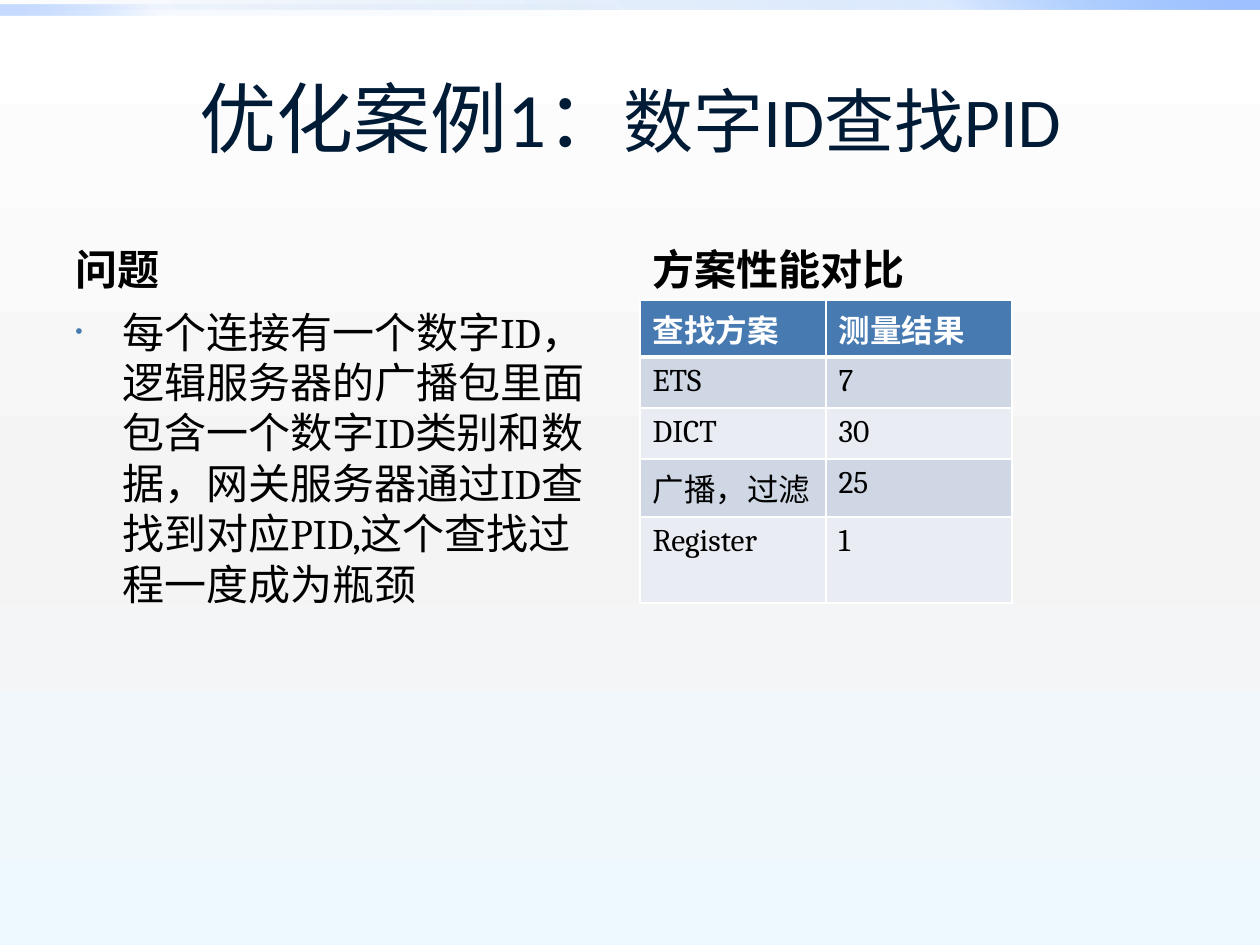
from lxml import etree
from pptx import Presentation
from pptx.dml.color import RGBColor
from pptx.enum import shapes, text
from pptx.oxml import ns
from pptx import util as u

HUES = {"ink": "000000", "navy": "001B36", "blue": "477AB1", "white": "FFFFFF",
        "dark": "CFD7E4", "pale": "E9ECF2"}
DEEP, MID, SKY = "0058B7", "4F95FF", "9EC2FF"


def px(n):
    """Turn pixels into EMU."""
    return u.Emu(round(n * 914400 / 126))


def node(parent, tag, **attrs):
    """Append a drawing element with attributes."""
    return etree.SubElement(parent, ns.qn(tag), {k: str(v) for k, v in attrs.items()})


def write(frame, runs, font="Cambria", size=24, hue="ink", bold=False,
          align=text.PP_ALIGN.LEFT, anchor=text.MSO_ANCHOR.TOP, before=0, dot=False):
    """Fill a frame with one paragraph of (text, size) runs or a string."""
    frame.word_wrap = True
    frame.vertical_anchor = anchor
    para = frame.paragraphs[0]
    para.alignment = align
    para.space_before = u.Pt(before)
    for words, pts in [(runs, size)] if isinstance(runs, str) else runs:
        run = para.add_run()
        run.text = words
        run.font.name, run.font.size, run.font.bold = font, u.Pt(pts), bold
        run.font.color.rgb = RGBColor.from_string(HUES[hue])
    if dot:
        props = para._p.get_or_add_pPr()
        props.set("marL", str(px(47)))
        props.set("indent", str(-px(47)))
        node(node(props, "a:buClr"), "a:srgbClr", val=HUES["blue"])
        node(props, "a:buSzPct", val=50000)
        node(props, "a:buFont", typeface="Arial")
        node(props, "a:buChar", char="•")


class Deck:
    """Hold the style and the current slide."""

    def __init__(self):
        """Start a file with one blank slide."""
        self.file = Presentation()
        self.file.slide_width, self.file.slide_height = px(1260), px(945)
        self.page = self.file.slides.add_slide(self.file.slide_layouts[6])

    def blend(self, owner, stops, angle):
        """Fill an owner with a gradient of (place, hue, alpha) stops."""
        fill = getattr(owner, "background", owner).fill
        fill.solid()
        fill.fore_color.rgb = RGBColor.from_string(HUES["white"])
        old = next(owner.element.iter(ns.qn("a:solidFill")))
        grad = etree.Element(ns.qn("a:gradFill"), rotWithShape="1")
        steps = node(grad, "a:gsLst")
        for place, hue, alpha in stops:
            step = node(steps, "a:gs", pos=place * 1000)
            node(node(step, "a:srgbClr", val=hue), "a:alpha", val=alpha * 1000)
        node(grad, "a:lin", ang=angle * 60000, scaled=0)
        old.getparent().replace(old, grad)

    def bar(self, x, y, w, h, stops, angle):
        """Draw a gradient bar."""
        bar = self.page.shapes.add_shape(shapes.MSO_SHAPE.RECTANGLE, px(x), px(y), px(w), px(h))
        bar.shadow.inherit = False
        bar.line.fill.background()
        self.blend(bar, stops, angle)

    def note(self, x, y, w, h, runs, **style):
        """Place a text box."""
        box = self.page.shapes.add_textbox(px(x), px(y), px(w), px(h))
        write(box.text_frame, runs, **style)

    def edge(self, cell, base):
        """Draw the four white borders of a cell."""
        props = cell._tc.get_or_add_tcPr()
        for i, side in enumerate("LRTB"):
            width = base if side == "B" else 1
            line = etree.Element(ns.qn("a:ln" + side), w=str(u.Pt(width)))
            node(node(line, "a:solidFill"), "a:srgbClr", val=HUES["white"])
            props.insert(i, line)

    def table(self, x, y, cols, highs, rows):
        """Place a table with a head row and banded body rows."""
        grid = self.page.shapes.add_table(len(rows), len(cols), px(x), px(y),
                                          px(sum(cols)), px(sum(highs))).table
        for col, wide in zip(grid.columns, cols):
            col.width = px(wide)
        for r, (row, high) in enumerate(zip(rows, highs)):
            grid.rows[r].height = px(high)
            head = r == 0
            tint = "blue" if head else ("pale", "dark")[r % 2]
            for c, words in enumerate(row):
                cell = grid.cell(r, c)
                cell.fill.solid()
                cell.fill.fore_color.rgb = RGBColor.from_string(HUES[tint])
                self.edge(cell, 3 if head else 1)
                write(cell.text_frame, words, size=18, bold=head,
                      hue="white" if head else "ink")
                cell.vertical_anchor = text.MSO_ANCHOR.TOP


deck = Deck()
deck.blend(deck.page, [(0, "FFFFFF", 100), (55, "F4F4F4", 100), (100, "EEF9FF", 100)], 90)
deck.bar(0, 0, 1260, 10, [(0, DEEP, 0), (75, MID, 20), (100, SKY, 100)], 315)
deck.bar(0, 5, 630, 10, [(0, DEEP, 0), (75, MID, 5), (100, SKY, 60)], 135)
deck.note(63, 38, 1134, 157, [("优化案例1：", 44), ("数字ID查找PID", 40)], font="Calibri",
          hue="navy", align=text.PP_ALIGN.CENTER, anchor=text.MSO_ANCHOR.MIDDLE)
for x, words in ((63, "问题"), (640, "方案性能对比")):
    deck.note(x, 212, 557, 88, words, bold=True, anchor=text.MSO_ANCHOR.BOTTOM, before=5)
deck.note(63, 300, 557, 544,
          "每个连接有一个数字ID，逻辑服务器的广播包里面包含一个数字ID类别和数据，"
          "网关服务器通过ID查找到对应PID,这个查找过程一度成为瓶颈", before=5, dot=True)
deck.table(640, 300, [186, 186], [57, 51, 51, 58, 86],
           [("查找方案", "测量结果"), ("ETS", "7"), ("DICT", "30"),
            ("广播，过滤", "25"), ("Register", "1")])
deck.file.save("out.pptx")
